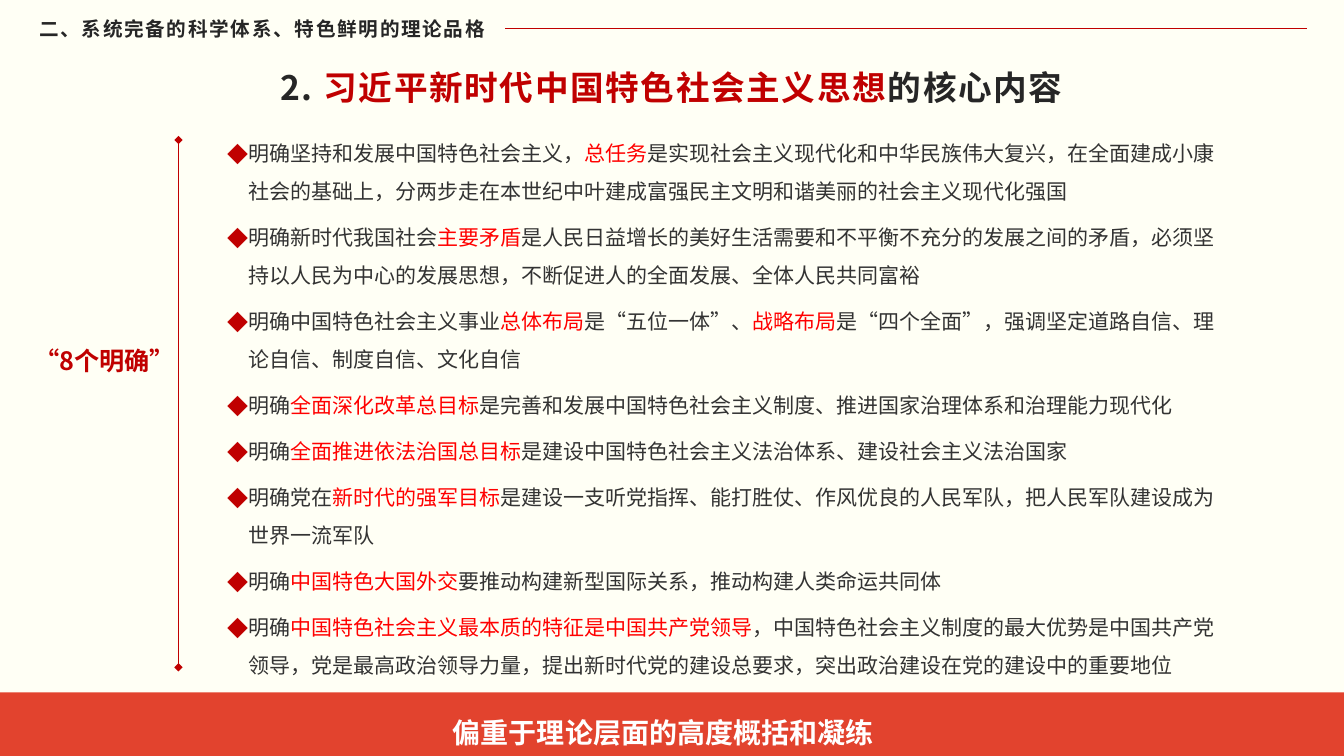
import pptx
import pptx.dml.color
import pptx.enum.shapes
import pptx.enum.text
import pptx.oxml
import pptx.oxml.ns
import pptx.util

COLOURS = {
    "paper": "FFFFF5",
    "ink": "262626",
    "body": "333333",
    "deep": "C00000",
    "bright": "FF0000",
    "bar": "E2432E",
    "white": "FFFFFF",
}
FONT = "Noto Sans CJK SC"
BULLET_INDENT = pptx.util.Inches(0.21)
ALIGN = pptx.enum.text.PP_ALIGN
ANCHOR = pptx.enum.text.MSO_ANCHOR

# Asterisks enclose the highlighted words
POINTS = [
    "明确坚持和发展中国特色社会主义，*总任务*是实现社会主义现代化和中华民族伟大复兴，在全面建成小康社会的基础上，"
    "分两步走在本世纪中叶建成富强民主文明和谐美丽的社会主义现代化强国",
    "明确新时代我国社会*主要矛盾*是人民日益增长的美好生活需要和不平衡不充分的发展之间的矛盾，"
    "必须坚持以人民为中心的发展思想，不断促进人的全面发展、全体人民共同富裕",
    "明确中国特色社会主义事业*总体布局*是“五位一体”、*战略布局*是“四个全面”，"
    "强调坚定道路自信、理论自信、制度自信、文化自信",
    "明确*全面深化改革总目标*是完善和发展中国特色社会主义制度、推进国家治理体系和治理能力现代化",
    "明确*全面推进依法治国总目标*是建设中国特色社会主义法治体系、建设社会主义法治国家",
    "明确党在*新时代的强军目标*是建设一支听党指挥、能打胜仗、作风优良的人民军队，把人民军队建设成为世界一流军队",
    "明确*中国特色大国外交*要推动构建新型国际关系，推动构建人类命运共同体",
    "明确*中国特色社会主义最本质的特征是中国共产党领导*，中国特色社会主义制度的最大优势是中国共产党领导，"
    "党是最高政治领导力量，提出新时代党的建设总要求，突出政治建设在党的建设中的重要地位",
]


def rgb(name):
    return pptx.dml.color.RGBColor.from_string(COLOURS[name])


def add_xml(parent, tag, **attributes):
    element = pptx.oxml.parse_xml(f"<a:{tag} {pptx.oxml.ns.nsdecls('a')}/>")
    for name, value in attributes.items():
        element.set(name, value)
    parent.append(element)
    return element


class SlideBuilder:
    """Places elements on one slide; lengths are percentages of its size."""

    def __init__(self, deck):
        self.deck = deck
        self.page = deck.slides.add_slide(deck.slide_layouts[5])
        self.page.background.fill.solid()
        self.page.background.fill.fore_color.rgb = rgb("paper")

    def x(self, share):
        return round(self.deck.slide_width * share / 100)

    def y(self, share):
        return round(self.deck.slide_height * share / 100)

    def place(self, left, top, width, height):
        return self.x(left), self.y(top), self.x(width), self.y(height)

    def set_text(self, box, texts, size, colour, accent="bright", bold=False, tracking=0,
                 anchor=ANCHOR.TOP, bullet=None, **paragraph_format):
        frame = box.text_frame
        frame_format = {"word_wrap": True, "vertical_anchor": anchor,
                        "auto_size": pptx.enum.text.MSO_AUTO_SIZE.NONE}
        for name, value in frame_format.items():
            setattr(frame, name, value)
        for index, text in enumerate(texts):
            para = frame.add_paragraph() if index else frame.paragraphs[0]
            for name, value in paragraph_format.items():
                if index or name != "space_before":
                    setattr(para, name, value)
            if bullet:
                self.add_bullet(para, bullet)
            for position, words in enumerate(text.split("*")):
                if words:
                    self.add_span(para, words, accent if position % 2 else colour,
                                  size, bold, tracking)

    def add_bullet(self, para, character):
        properties = para._p.get_or_add_pPr()
        properties.set("marL", str(BULLET_INDENT))
        properties.set("indent", str(-BULLET_INDENT))
        colour = add_xml(properties, "buClr")
        add_xml(colour, "srgbClr", val=COLOURS["deep"])
        add_xml(properties, "buFont", typeface=FONT)
        add_xml(properties, "buChar", char=character)

    def add_span(self, para, words, colour, size, bold, tracking):
        span = para.add_run()
        span.text = words
        font_format = {"name": FONT, "size": pptx.util.Pt(size), "bold": bold}
        for name, value in font_format.items():
            setattr(span.font, name, value)
        span.font.color.rgb = rgb(colour)
        properties = span._r.get_or_add_rPr()
        properties.set("lang", "zh-CN")
        if tracking:
            properties.set("spc", str(round(tracking * 100)))
        add_xml(properties, "ea", typeface=FONT)

    def title(self, area, text, **style):
        box = self.page.shapes.title
        for name, value in zip(("left", "top", "width", "height"), self.place(*area)):
            setattr(box, name, value)
        self.set_text(box, [text], **style)

    def text(self, area, texts, **style):
        box = self.page.shapes.add_textbox(*self.place(*area))
        self.set_text(box, texts, **style)

    def block(self, area, colour):
        shape = self.page.shapes.add_shape(
            pptx.enum.shapes.MSO_SHAPE.RECTANGLE, *self.place(*area))
        shape.shadow.inherit = False
        shape.fill.solid()
        shape.fill.fore_color.rgb = rgb(colour)
        shape.line.fill.background()
        return shape

    def line(self, start, end, ends=None):
        connector = self.page.shapes.add_connector(
            pptx.enum.shapes.MSO_CONNECTOR.STRAIGHT,
            self.x(start[0]), self.y(start[1]), self.x(end[0]), self.y(end[1]))
        connector.line.color.rgb = rgb("deep")
        connector.line.width = pptx.util.Pt(0.5)
        properties = connector._element.spPr
        if ends:
            for tag in ("headEnd", "tailEnd"):
                add_xml(properties.get_or_add_ln(), tag, type=ends)
        add_xml(properties, "effectLst")


def main():
    deck = pptx.Presentation()
    deck.slide_width = pptx.util.Inches(13.33)
    deck.slide_height = pptx.util.Inches(7.5)
    slide = SlideBuilder(deck)

    # Section heading with its rule
    slide.text((2.18, 1.47, 35.4, 4.53), ["二、系统完备的科学体系、特色鲜明的理论品格"],
               size=14, colour="ink", bold=True, tracking=1.2, anchor=ANCHOR.MIDDLE)
    slide.line((37.58, 3.73), (97.28, 3.73))

    # Title
    slide.title((8.63, 8.13, 82.65, 6.8), "2. *习近平新时代中国特色社会主义思想*的核心内容",
                size=24, colour="ink", accent="deep", bold=True, tracking=1.2,
                alignment=ALIGN.CENTER)

    # Conclusion bar
    slide.block((0, 91.6, 100, 8.4), "bar")
    caption = slide.block((29.78, 91.73, 39.15, 8.13), "bar")
    slide.set_text(caption, ["偏重于理论层面的高度概括和凝练"], size=20, colour="white",
                   bold=True, alignment=ALIGN.CENTER, line_spacing=1.5)

    # Eight points
    slide.text((16.2, 16.27, 75.15, 74.27), POINTS, size=15, colour="body", bullet="◆",
               line_spacing=1.5, space_before=pptx.util.Pt(6))

    # Side label and bracket line
    slide.text((1.8, 45.07, 12.15, 5.33), ["“8个明确”"], size=18, colour="deep", bold=True)
    slide.line((13.28, 18.53), (13.28, 88.27), ends="diamond")

    deck.save("out.pptx")


if __name__ == "__main__":
    main()
